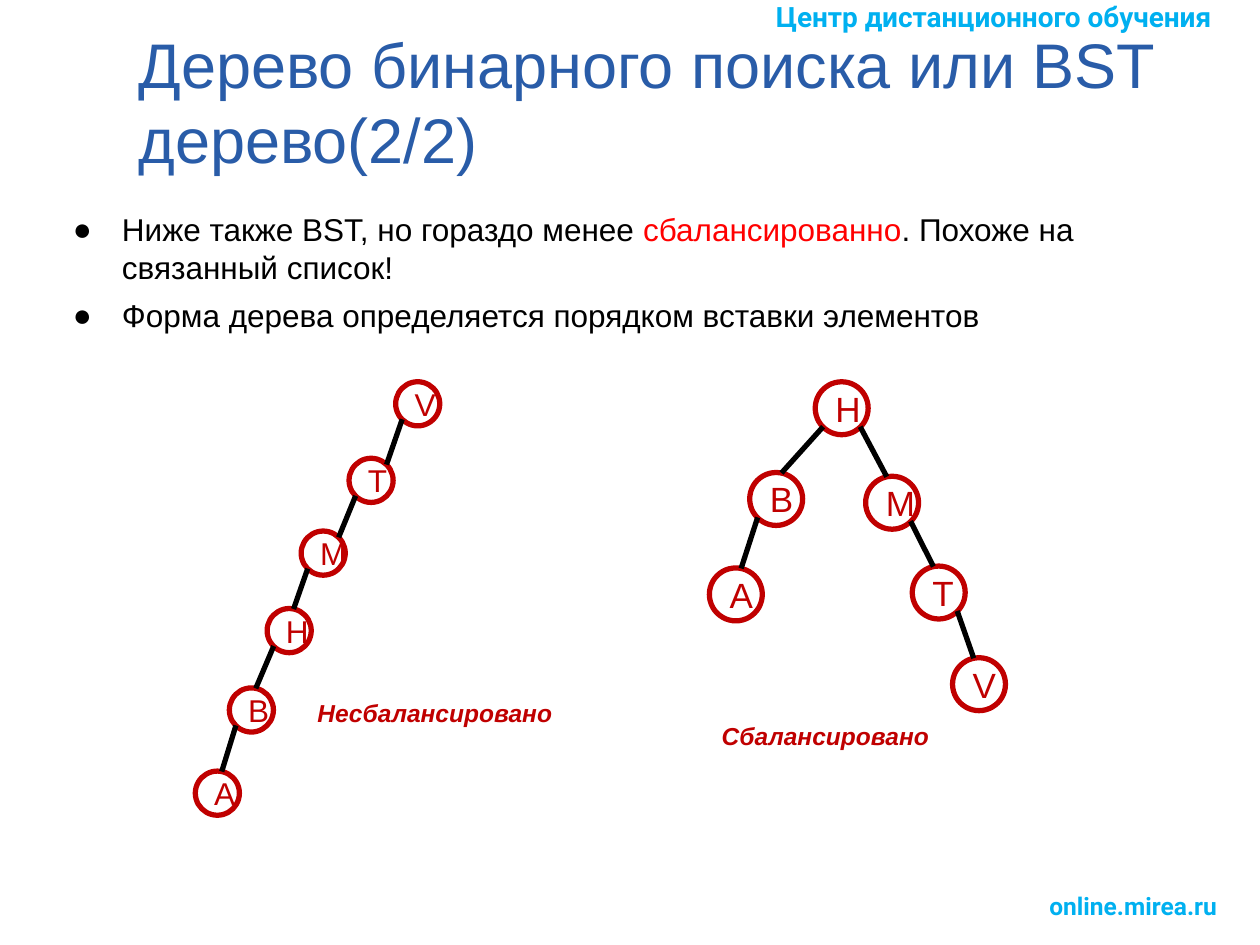
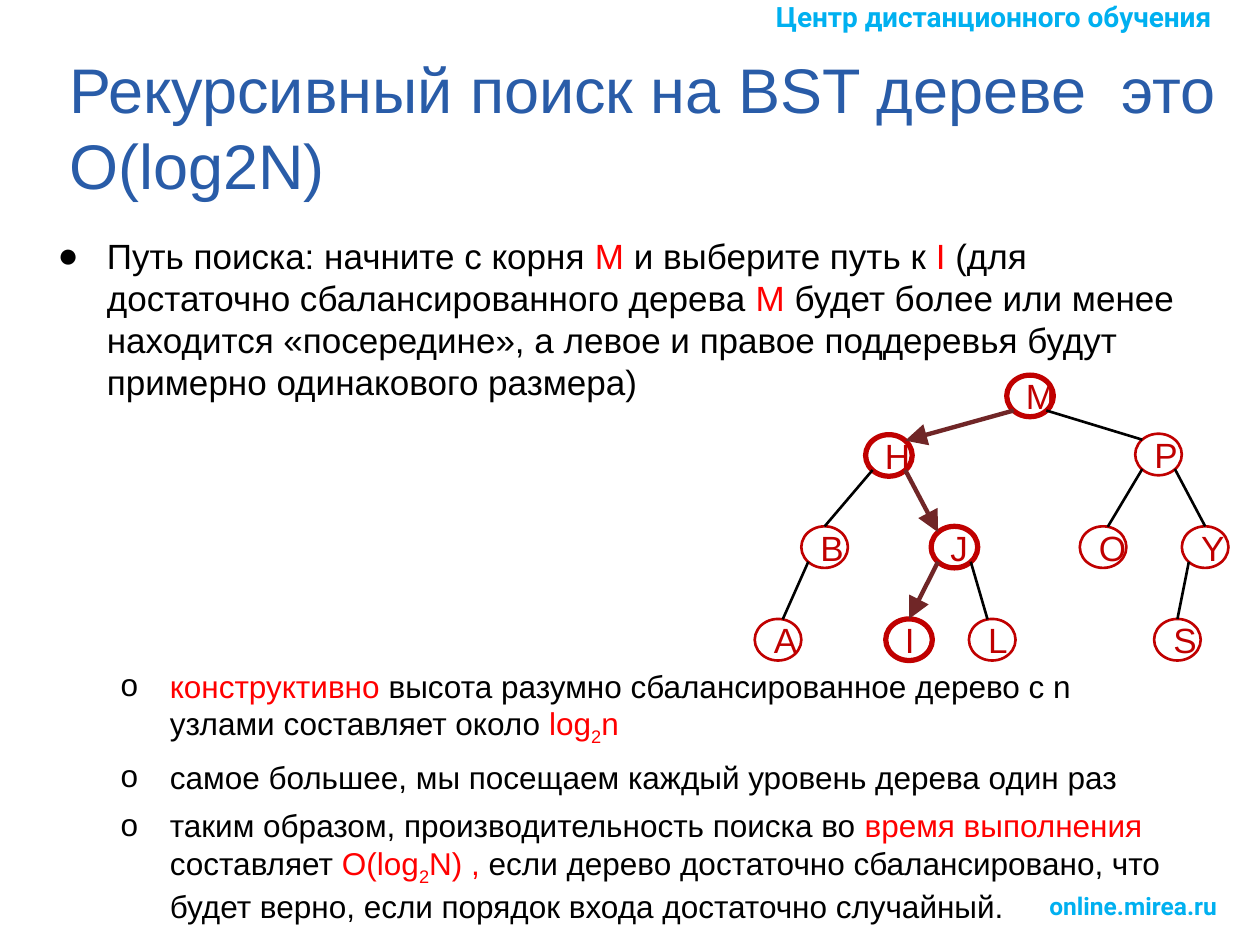
from dataclasses import dataclass
from math import sqrt

from lxml.etree import SubElement
from pptx import Presentation
from pptx.dml.color import RGBColor
from pptx.enum.shapes import MSO_CONNECTOR as Link, MSO_SHAPE as Preset
from pptx.enum.text import MSO_ANCHOR as Anchor, PP_ALIGN as Align
from pptx.oxml.ns import qn
from pptx.util import Inches, Pt


@dataclass(frozen=True)
class Theme:
    text_font: str = "Arial"
    brand_font: str = "Roboto"
    ink: str = "000000"
    heading: str = "295CA8"
    accent: str = "FF0000"
    brand: str = "00B0F0"
    node: str = "C00000"
    route: str = "702627"
    title_size: int = 36
    large: int = 20
    medium: int = 18
    header_size: int = 16
    small: int = 14
    thick: float = 3
    route_width: float = 2.5
    thin: float = 1.5


theme = Theme()
deck = Presentation()
deck.slide_width, deck.slide_height = Inches(10), Inches(7.5)
# Every position below counts hundredths of the slide's width and height.
COL, ROW = deck.slide_width / 100, deck.slide_height / 100


def add_text(slide, box, paragraphs, size, color, font=theme.text_font,
             bold=False, italic=False, pad=0.05, anchor=Anchor.TOP):
    """Each paragraph is (level, space before, size, runs); level None has no bullet.
    Each run is (text, colour, is subscript); None stands for the default."""
    left, top, width, height = box
    area = slide.shapes.add_textbox(round(left * COL), round(top * ROW),
                                    round(width * COL), round(height * ROW))
    frame = area.text_frame
    frame.word_wrap = True
    frame.vertical_anchor = anchor
    frame.margin_top = frame.margin_bottom = Inches(pad)
    for index, (level, before, own_size, runs) in enumerate(paragraphs):
        paragraph = frame.add_paragraph() if index else frame.paragraphs[0]
        if level is not None:
            paragraph.level = level
            props = paragraph._p.get_or_add_pPr()
            props.set("marL", str(Inches(0.5 * (level + 1))))
            props.set("indent", str(Inches(-0.39)))
            SubElement(SubElement(props, qn("a:buClr")), qn("a:srgbClr"), val=theme.ink)
            SubElement(props, qn("a:buFont"), typeface=font)
            SubElement(props, qn("a:buChar"), char="●o"[level])
        if before:
            paragraph.space_before = Pt(before)
        for words, own_color, subscript in runs:
            run = paragraph.add_run()
            run.text = words
            run.font.name, run.font.size = font, Pt(own_size or size)
            run.font.bold, run.font.italic = bold, italic
            run.font.color.rgb = RGBColor.from_string(own_color or color)
            if subscript:
                run._r.get_or_add_rPr().set("baseline", "-25000")


def add_tree(slide, nodes, edges, node_size, letter_size, line_width, route=""):
    """Nodes map letters to corners; edges are (parent, child, lean), where lean is
    how far from the child's top middle the edge arrives, as a share of its width.
    Nodes on the route are thick and joined by arrows."""
    width, height = node_size
    for letter, (left, top) in nodes.items():
        circle = slide.shapes.add_shape(Preset.OVAL, round(left * COL), round(top * ROW),
                                        round(width * COL), round(height * ROW))
        circle.shadow.inherit = False
        circle.fill.background()
        circle.line.color.rgb = RGBColor.from_string(theme.node)
        circle.line.width = Pt(theme.thick if letter in route else line_width)
        frame = circle.text_frame
        frame.word_wrap = True
        frame.vertical_anchor = Anchor.MIDDLE
        paragraph = frame.paragraphs[0]
        paragraph.alignment = Align.CENTER
        run = paragraph.add_run()
        run.text = letter
        run.font.name, run.font.size = theme.text_font, Pt(letter_size)
        run.font.color.rgb = RGBColor.from_string(theme.node)

    for parent, child, lean in edges:
        (start_x, start_y), (end_x, end_y) = nodes[parent], nodes[child]
        side = 1 if end_x > start_x else -1
        start_x += width * (0.5 + side * 0.35)
        start_y += height * 0.85
        end_x += width * (0.5 - side * lean)
        end_y += height * (0.5 - sqrt(0.25 - lean ** 2))
        edge = slide.shapes.add_connector(Link.STRAIGHT, round(start_x * COL), round(start_y * ROW),
                                          round(end_x * COL), round(end_y * ROW))
        on_route = parent in route and child in route
        edge.line.color.rgb = RGBColor.from_string(theme.route if on_route else theme.ink)
        edge.line.width = Pt(theme.route_width if on_route else line_width)
        if on_route:
            SubElement(edge.line._get_or_add_ln(), qn("a:tailEnd"),
                       type="triangle", w="lg", len="lg")
        SubElement(edge._element.spPr, qn("a:effectLst"))


pages = [
    {
        "title": "Дерево бинарного поиска или BST дерево(2/2)",
        "title_box": (10, 1.2, 90, 18.8),
        "body_box": (3.7, 20.93, 90, 15.87),
        "body": [
            (0, 0, theme.medium, [
                ("Ниже также BST, но гораздо менее ", None, False),
                ("сбалансированно", theme.accent, False),
                (". Похоже на связанный список!", None, False)]),
            (0, 6, theme.medium, [
                ("Форма дерева определяется порядком вставки элементов", None, False)]),
        ],
        "trees": [
            {
                "nodes": {"V": (31.4, 40.4), "T": (27.7, 48.5), "M": (23.9, 56.2),
                          "H": (21.2, 64.4), "B": (18.2, 72.8), "A": (15.5, 81.6)},
                "edges": [("V", "T", 0.35), ("T", "M", 0.35), ("M", "H", 0.1),
                          ("H", "B", 0.1), ("B", "A", 0.1)],
                "node_size": (3.5, 4.67),
                "letter_size": theme.medium,
                "line_width": theme.thick,
            },
            {
                "nodes": {"H": (64.7, 40.4), "B": (59.5, 50), "M": (68.7, 50.4),
                          "A": (56.3, 60.1), "T": (72.4, 59.9), "V": (75.6, 69.6)},
                "edges": [("H", "B", 0.1), ("H", "M", 0.1), ("B", "A", 0.1),
                          ("M", "T", 0.1), ("T", "V", 0.1)],
                "node_size": (4.2, 5.6),
                "letter_size": theme.large,
                "line_width": theme.thick,
            },
        ],
        "captions": [("Несбалансировано", (24.2, 73.2, 21.2, 4.5)),
                     ("Сбалансировано", (56.3, 75.6, 19.6, 4.5))],
    },
    {
        "title": "Рекурсивный поиск на BST дереве  это O(log2N)",
        "title_box": (4.5, 3.87, 95.5, 18.8),
        "body_box": (2.5, 23.47, 91.9, 75.33),
        "body": [
            (0, 0, theme.large, [
                ("Путь поиска: начните с корня ", None, False),
                ("M ", theme.accent, False),
                ("и выберите путь к ", None, False),
                ("I ", theme.accent, False),
                ("(для достаточно сбалансированного дерева ", None, False),
                ("M ", theme.accent, False),
                ("будет более или менее находится «посередине», а левое и правое "
                 "поддеревья будут примерно одинакового размера)", None, False)]),
            # The wide space before leaves room for the tree.
            (1, 151, theme.medium, [
                ("конструктивно", theme.accent, False),
                (" высота разумно сбалансированное дерево с n узлами составляет около ",
                 None, False),
                ("log", theme.accent, False),
                ("2", theme.accent, True),
                ("n", theme.accent, False)]),
            (1, 6, theme.medium, [
                ("самое большее, мы посещаем каждый уровень дерева один раз", None, False)]),
            (1, 6, theme.medium, [
                ("таким образом, производительность поиска во ", None, False),
                ("время выполнения ", theme.accent, False),
                ("составляет ", None, False),
                ("O(log", theme.accent, False),
                ("2", theme.accent, True),
                ("N) , ", theme.accent, False),
                ("если дерево достаточно сбалансировано, что будет верно, если порядок "
                 "входа достаточно случайный.", None, False)]),
        ],
        "trees": [
            {
                "nodes": {"M": (79.9, 39.7), "H": (68.7, 46), "P": (90.1, 45.9),
                          "B": (63.6, 55.7), "J": (73.9, 55.7), "O": (85.7, 55.7),
                          "Y": (93.8, 55.7), "A": (59.9, 65.5), "I": (70.3, 65.5),
                          "L": (76.9, 65.5), "S": (91.6, 65.5)},
                "edges": [("M", "P", 0.35), ("H", "B", 0), ("P", "O", 0.1), ("P", "Y", 0),
                          ("B", "A", 0.1), ("J", "L", 0.1), ("Y", "S", 0),
                          ("M", "H", 0.35), ("H", "J", 0.35), ("J", "I", 0)],
                "node_size": (3.7, 4.4),
                "letter_size": theme.large,
                "line_width": theme.thin,
                "route": "MHJI",
            },
        ],
        "captions": [],
    },
]
brand_lines = [
    ("Центр дистанционного обучения", (60.6, -0.67, 39.4, 4.93), theme.header_size),
    ("online.mirea.ru", (82.3, 93.6, 16.1, 4.53), theme.small),
]

for page in pages:
    slide = deck.slides.add_slide(deck.slide_layouts[6])
    for words, box, size in brand_lines:
        add_text(slide, box, [(None, 0, None, [(words, None, False)])], size,
                 theme.brand, font=theme.brand_font, bold=True)
    add_text(slide, page["title_box"], [(None, 0, None, [(page["title"], None, False)])],
             theme.title_size, theme.heading, pad=0.1, anchor=Anchor.BOTTOM)
    add_text(slide, page["body_box"], page["body"], theme.medium, theme.ink, pad=0.1)
    for tree in page["trees"]:
        add_tree(slide, **tree)
    for words, box in page["captions"]:
        add_text(slide, box, [(None, 0, None, [(words, None, False)])], theme.small,
                 theme.node, bold=True, italic=True)

deck.save("out.pptx")
